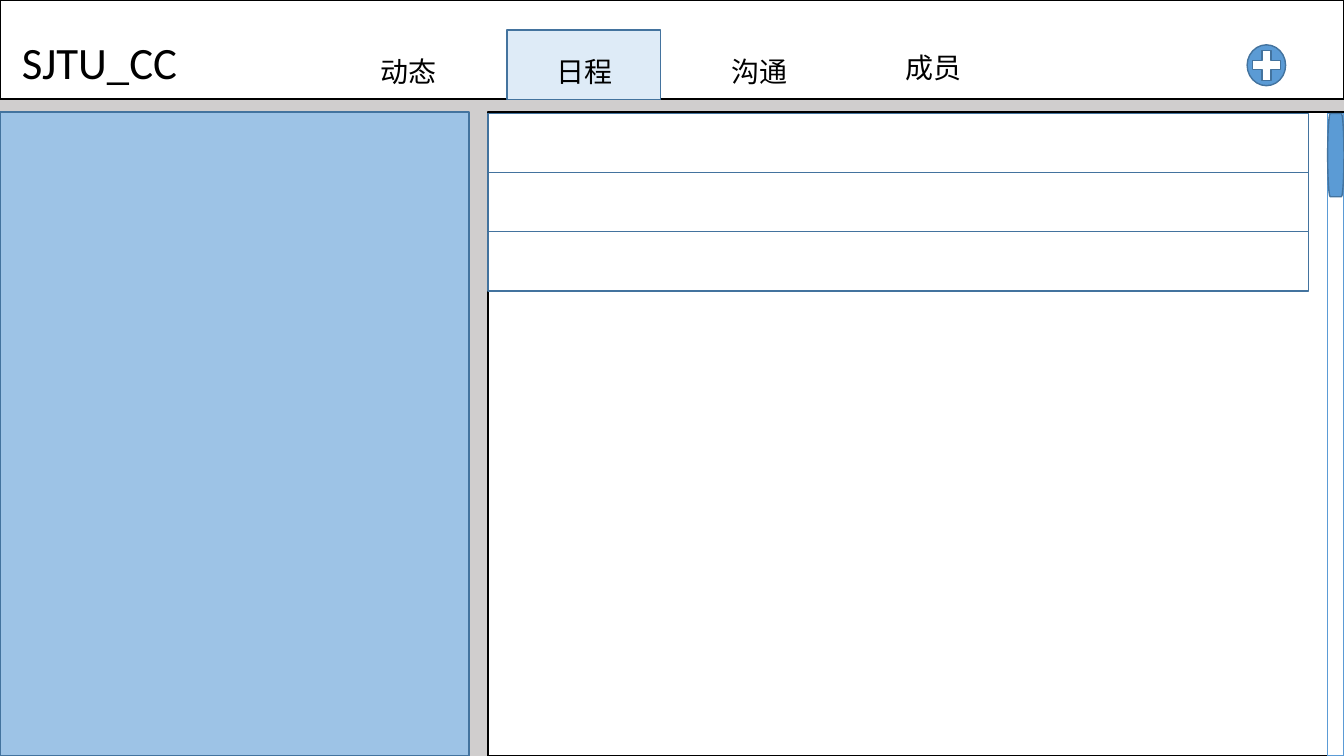
from pptx import Presentation
from pptx.dml.color import RGBColor
from pptx.enum.shapes import MSO_SHAPE
from pptx.enum.text import MSO_AUTO_SIZE
from pptx.util import Cm, Pt

WIDTH, HEIGHT = 33.87, 19.05
BLACK, WHITE = "000000", "FFFFFF"
BLUE, EDGE = "5B9BD5", "43739E"


def color(value):
    return RGBColor.from_string(value)


def add_box(s, kind, left, top, width, height, fill, line=EDGE, weight=1):
    sp = s.shapes.add_shape(kind, Cm(left), Cm(top), Cm(width), Cm(height))
    sp.shadow.inherit = False
    if fill:
        sp.fill.solid()
        sp.fill.fore_color.rgb = color(fill)
    else:
        sp.fill.background()
    sp.line.color.rgb = color(line)
    sp.line.width = Pt(weight)
    return sp


def add_label(s, text, left, top, width, height, size):
    sp = s.shapes.add_textbox(Cm(left), Cm(top), Cm(width), Cm(height))
    tf = sp.text_frame
    frame_format = {"word_wrap": False, "auto_size": MSO_AUTO_SIZE.SHAPE_TO_FIT_TEXT}
    for name, value in frame_format.items():
        setattr(tf, name, value)
    r = tf.paragraphs[0].add_run()
    r.text = text
    for name, value in {"name": "Calibri", "size": Pt(size)}.items():
        setattr(r.font, name, value)
    r.font.color.rgb = color(BLACK)
    return sp


def add_header(s):
    add_box(s, MSO_SHAPE.RECTANGLE, 0, 0, WIDTH, 2.5, WHITE, BLACK)
    add_label(s, "SJTU_CC", 0.3, 0.74, 4.47, 1.63, 32)

    # Navigation, with the active tab highlighted
    add_box(s, MSO_SHAPE.RECTANGLE, 12.78, 0.76, 3.86, 1.75, "DEEBF7")
    tabs = [("动态", 9.35, 1.25), ("日程", 13.77, 1.25),
            ("沟通", 18.19, 1.25), ("成员", 22.58, 1.14)]
    for text, left, top in tabs:
        add_label(s, text, left, top, 1.93, 1.12, 20)

    # Add button
    for kind, fill in [(MSO_SHAPE.OVAL, BLUE), (MSO_SHAPE.MATH_PLUS, WHITE)]:
        add_box(s, kind, 31.43, 1.13, 0.97, 1.03, fill)


def add_content(s):
    top, left = 2.82, 12.3
    # Side panel and main panel
    add_box(s, MSO_SHAPE.RECTANGLE, 0, top, 11.82, HEIGHT - top, "9DC3E6", EDGE, 1.5)
    add_box(s, MSO_SHAPE.RECTANGLE, left, top, WIDTH - left, HEIGHT - top,
            WHITE, BLACK, 1.5)

    # Schedule rows
    list_top, row_height = 2.86, 1.49
    for i in range(3):
        add_box(s, MSO_SHAPE.RECTANGLE, left, list_top + i * row_height,
                20.68, row_height, WHITE)

    # Scroll bar: track and thumb
    bar = 0.41
    add_box(s, MSO_SHAPE.RECTANGLE, WIDTH - bar, list_top, bar,
            HEIGHT - list_top, None, BLUE)
    add_box(s, MSO_SHAPE.FLOWCHART_TERMINATOR, WIDTH - bar, list_top, bar, 2.1, BLUE)


def main():
    prs = Presentation()
    prs.slide_width, prs.slide_height = Cm(WIDTH), Cm(HEIGHT)
    s = prs.slides.add_slide(prs.slide_layouts[6])
    s.background.fill.solid()
    s.background.fill.fore_color.rgb = color("D0CECE")
    add_header(s)
    add_content(s)
    prs.save("out.pptx")


main()
